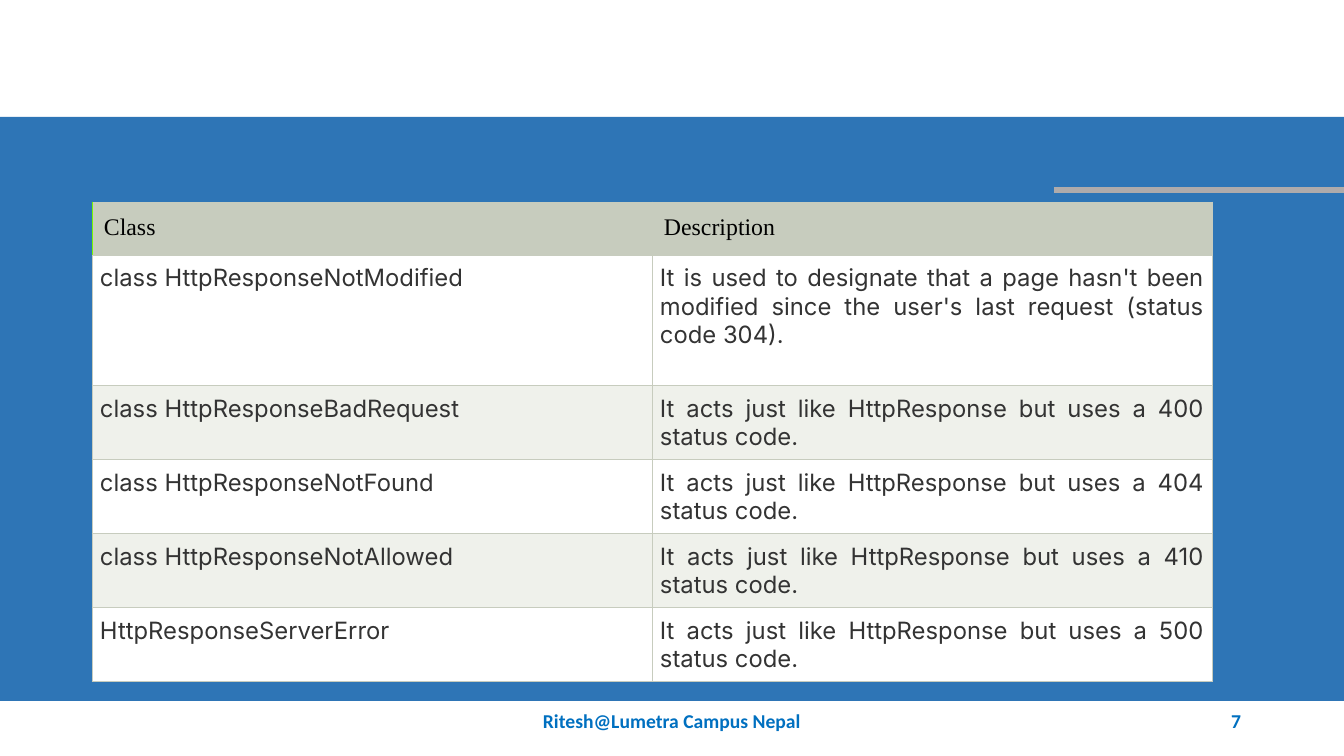
import pptx
import pptx.util
import pptx.dml.color
import pptx.enum.shapes
import pptx.enum.text
import pptx.oxml.ns
from lxml import etree

HEADINGS = ("Class", "Description")
RESPONSES = [
    ("class HttpResponseNotModified",
     "It is used to designate that a page hasn't been modified since "
     "the user's last request (status code 304)."),
    ("class HttpResponseBadRequest",
     "It acts just like HttpResponse but uses a 400 status code."),
    ("class HttpResponseNotFound",
     "It acts just like HttpResponse but uses a 404 status code."),
    ("class HttpResponseNotAllowed",
     "It acts just like HttpResponse but uses a 410 status code."),
    ("HttpResponseServerError",
     "It acts just like HttpResponse but uses a 500 status code."),
]
FOOTER = "Ritesh@Lumetra Campus Nepal"
PAGE_NUMBER = "7"

COLORS = {
    "page": "FFFFFF", "band": "2E75B6", "accent": "AFABAB",
    "heading": "C7CCBE", "stripe": "EFF1EB", "border": "C7CCBE",
    "edge": "78F800", "heading_text": "000000", "text": "333333",
    "footer": "0070C0",
}
SLIDE_W, SLIDE_H = 1344, 756
BAND_TOP, BAND_H = 117, 584
ACCENT_LEFT, ACCENT_Y = 1054, 190
TABLE_LEFT, TABLE_TOP, COLUMN_W = 92, 202, 560
ROW_HEIGHTS = [53, 131] + [74] * 4
FOOTER_TOP, FOOTER_H = BAND_TOP + BAND_H, 40
EMU_PER_PX = 914400 / 100.8

ALIGN = pptx.enum.text.PP_ALIGN


def px(length):
    return pptx.util.Emu(round(length * EMU_PER_PX))


def rgb(name):
    return pptx.dml.color.RGBColor.from_string(COLORS[name])


def paint(fill, color):
    fill.solid()
    fill.fore_color.rgb = rgb(color)


def add_run(paragraph, text, size, font, color, align, bold=False):
    paragraph.alignment = align
    run = paragraph.add_run()
    run.text = text
    run.font.size = pptx.util.Pt(size)
    run.font.name = font
    run.font.bold = bold
    run.font.color.rgb = rgb(color)


def set_borders(cell, left_color):
    """Draw the four cell borders; they must precede the fill in tcPr."""
    properties = cell._tc.get_or_add_tcPr()
    qn = pptx.oxml.ns.qn
    for position, side in enumerate("LRTB"):
        border = etree.Element(qn(f"a:ln{side}"), w=str(pptx.util.Pt(0.75)))
        solid = etree.SubElement(border, qn("a:solidFill"))
        color = left_color if side == "L" else "border"
        etree.SubElement(solid, qn("a:srgbClr"), val=COLORS[color])
        properties.insert(position, border)


def add_band(slide):
    band = slide.shapes.add_shape(
        pptx.enum.shapes.MSO_SHAPE.RECTANGLE,
        0, px(BAND_TOP), px(SLIDE_W), px(BAND_H))
    band.shadow.inherit = False
    paint(band.fill, "band")
    band.line.fill.background()

    accent = slide.shapes.add_connector(
        pptx.enum.shapes.MSO_CONNECTOR.STRAIGHT,
        px(ACCENT_LEFT), px(ACCENT_Y), px(SLIDE_W), px(ACCENT_Y))
    accent.line.color.rgb = rgb("accent")
    accent.line.width = pptx.util.Pt(4.5)
    etree.SubElement(accent._element.spPr, pptx.oxml.ns.qn("a:effectLst"))


def add_responses(slide):
    rows = [HEADINGS] + RESPONSES
    table = slide.shapes.add_table(
        len(rows), len(HEADINGS), px(TABLE_LEFT), px(TABLE_TOP),
        px(COLUMN_W * len(HEADINGS)), px(sum(ROW_HEIGHTS))).table
    table.horz_banding = False
    table.first_row = False
    for column in table.columns:
        column.width = px(COLUMN_W)
    for r, (texts, height) in enumerate(zip(rows, ROW_HEIGHTS)):
        table.rows[r].height = px(height)
        if r == 0:
            fill, inset = "heading", px(12)
            style = ("Times New Roman", "heading_text", ALIGN.LEFT)
        else:
            fill, inset = ("page" if r % 2 else "stripe"), px(8)
            style = ("Inter", "text", ALIGN.JUSTIFY)
        for c, text in enumerate(texts):
            cell = table.cell(r, c)
            cell.margin_left = cell.margin_right = inset
            cell.margin_top = cell.margin_bottom = inset
            paint(cell.fill, fill)
            set_borders(cell, "edge" if r == c == 0 else "border")
            add_run(cell.text_frame.paragraphs[0], text, 17, *style)


def add_footer(slide, text, left, width, align):
    frame = slide.shapes.add_textbox(
        px(left), px(FOOTER_TOP), px(width), px(FOOTER_H)).text_frame
    frame.word_wrap = True
    frame.vertical_anchor = pptx.enum.text.MSO_ANCHOR.MIDDLE
    add_run(frame.paragraphs[0], text, 14, "Calibri", "footer", align, True)


def main():
    deck = pptx.Presentation()
    deck.slide_width, deck.slide_height = px(SLIDE_W), px(SLIDE_H)
    slide = deck.slides.add_slide(deck.slide_layouts[6])
    paint(slide.background.fill, "page")
    add_band(slide)
    add_responses(slide)
    add_footer(slide, FOOTER, 445, 454, ALIGN.CENTER)
    add_footer(slide, PAGE_NUMBER, 949, 302, ALIGN.RIGHT)
    deck.save("out.pptx")


if __name__ == "__main__":
    main()
